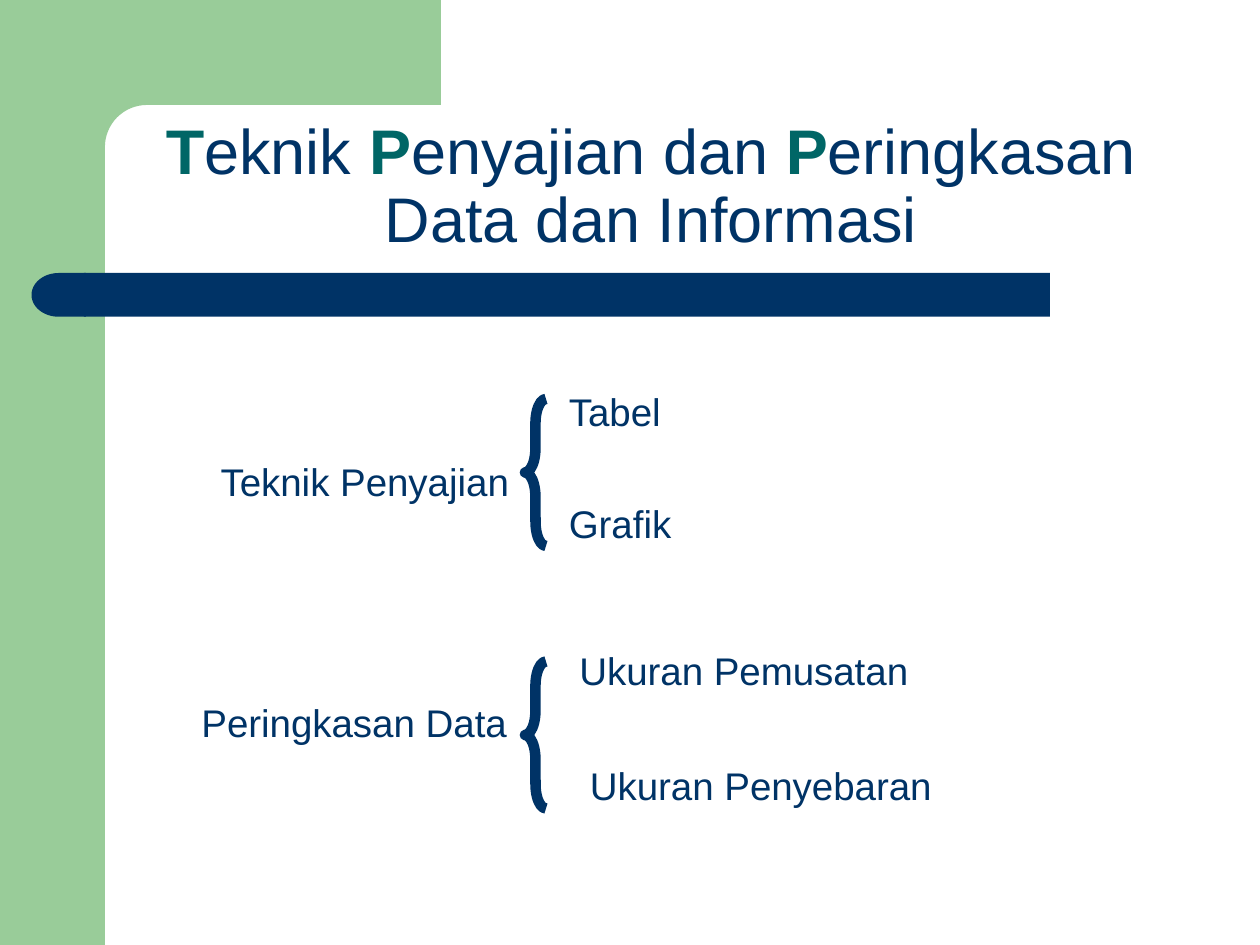
from math import cos, pi, sin

from pptx import Presentation
from pptx.dml.color import RGBColor
from pptx.enum.shapes import MSO_SHAPE as SHAPE
from pptx.enum.text import MSO_ANCHOR as ANCHOR
from pptx.enum.text import MSO_AUTO_SIZE as AUTO
from pptx.enum.text import PP_ALIGN as ALIGN
from pptx.util import Pt

COLORS = {"navy": "003366", "green": "99CC99", "teal": "006666"}


class SlideBuilder:
    font = "Arial"
    title_size = 36
    label_size = 22
    brace_width = 6

    def __init__(self, prs):
        self.slide = prs.slides.add_slide(prs.slide_layouts[5])

    def color(self, name):
        return RGBColor.from_string(COLORS[name])

    def paint(self, sp, fill):
        sp.shadow.inherit = False
        sp.fill.solid()
        sp.fill.fore_color.rgb = self.color(fill)
        sp.line.fill.background()

    def style(self, r, size, color, bold=False):
        r.font.name = self.font
        r.font.size = Pt(size)
        r.font.bold = bold
        r.font.color.rgb = self.color(color)

    def block(self, kind, x, y, w, h, fill):
        sp = self.slide.shapes.add_shape(kind, Pt(x), Pt(y), Pt(w), Pt(h))
        self.paint(sp, fill)
        return sp

    def outline(self, points, fill):
        points = [(Pt(x), Pt(y)) for x, y in points]
        fb = self.slide.shapes.build_freeform(*points[0])
        fb.add_line_segments(points[1:], close=True)
        self.paint(fb.convert_to_shape(), fill)

    def title(self, parts, x, y, w, h):
        sp = self.slide.shapes.title
        sp.left, sp.top, sp.width, sp.height = Pt(x), Pt(y), Pt(w), Pt(h)
        tf = sp.text_frame
        tf.auto_size = AUTO.NONE
        tf.word_wrap = True
        tf.vertical_anchor = ANCHOR.BOTTOM
        p = tf.paragraphs[0]
        p.alignment = ALIGN.CENTER
        p.line_spacing = 0.9
        for text, accent in parts:
            r = p.add_run()
            r.text = text
            self.style(r, self.title_size, "teal" if accent else "navy", accent)

    def label(self, text, x, y, w):
        sp = self.slide.shapes.add_textbox(Pt(x), Pt(y), Pt(w), Pt(34))
        tf = sp.text_frame
        tf.word_wrap = True
        tf.text = text
        self.style(tf.paragraphs[0].runs[0], self.label_size, "navy")

    def brace(self, x, y, w, h):
        sp = self.slide.shapes.add_shape(
            SHAPE.LEFT_BRACE, Pt(x), Pt(y), Pt(w), Pt(h))
        sp.shadow.inherit = False
        sp.adjustments[0] = 1.167
        sp.fill.background()
        sp.line.color.rgb = self.color("navy")
        sp.line.width = Pt(self.brace_width)


def main():
    prs = Presentation()
    prs.slide_width, prs.slide_height = Pt(720), Pt(540)
    s = SlideBuilder(prs)

    s.block(SHAPE.RECTANGLE, 0, 0, 60, 540, "green")
    radius, steps = 24, 16
    angles = [pi / 2 * i / steps for i in range(steps + 1)]
    corner = [(60 + radius * (1 - sin(a)), 60 + radius * (1 - cos(a)))
              for a in angles]
    s.outline([(36, 0), (252, 0), (252, 60), *corner, (60, 92), (36, 92)],
              "green")
    s.block(SHAPE.RECTANGLE, 48, 156, 552, 25, "navy")
    cap = s.block(SHAPE.FLOWCHART_DELAY, 18, 156, 31, 25, "navy")
    cap.rotation = 180

    s.title([("T", True), ("eknik ", False), ("P", True),
             ("enyajian dan ", False), ("P", True),
             ("eringkasan Data dan Informasi", False)], 60, 60, 624, 90)

    for text, x, y, w in [
        ("Teknik Penyajian", 119, 258, 180),
        ("Tabel", 318, 218, 180),
        ("Grafik", 318, 282, 180),
        ("Peringkasan Data", 108, 396, 204),
        ("Ukuran Pemusatan", 324, 366, 258),
        ("Ukuran Penyebaran", 330, 432, 264),
    ]:
        s.label(text, x, y, w)
    for y in (228, 378):
        s.brace(300, y, 12, 84)

    prs.save("out.pptx")


if __name__ == "__main__":
    main()
